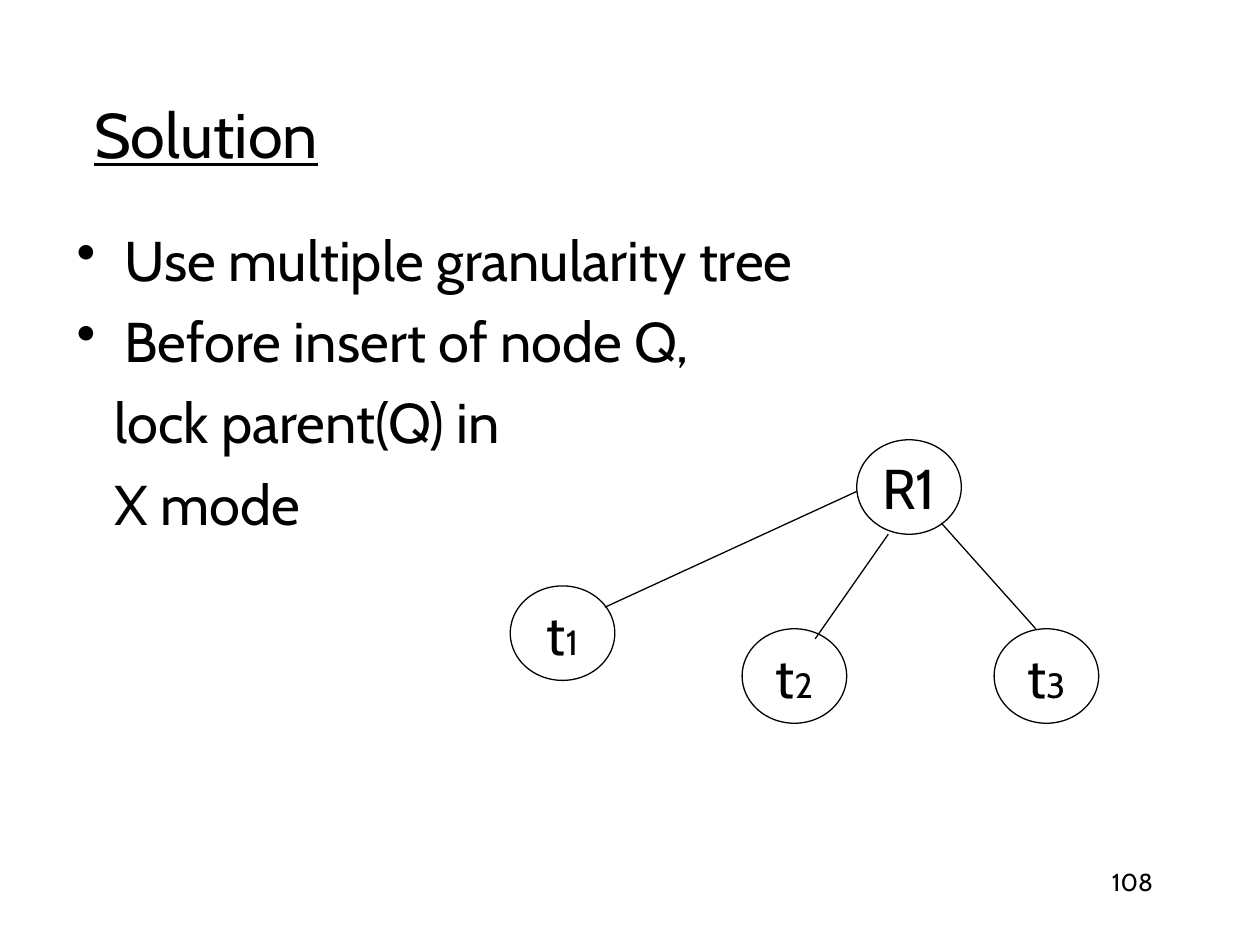
from pptx import Presentation
from pptx.dml.color import RGBColor
from pptx.enum.shapes import MSO_CONNECTOR, MSO_SHAPE
from pptx.enum.text import MSO_ANCHOR, PP_ALIGN
from pptx.oxml.ns import qn
from pptx.util import Inches, Pt
from lxml.etree import SubElement

COLORS = {"ink": "000000", "node": "FFFFFF"}
INK = RGBColor.from_string(COLORS["ink"])


def style(r, size):
    r.font.name = "Cabin"
    r.font.size = Pt(size)
    r.font.color.rgb = INK


def add_text(s, box, text, size):
    tf = s.shapes.add_textbox(*map(Inches, box)).text_frame
    tf.word_wrap = True
    tf.text = text
    for p in tf.paragraphs:
        style(p.runs[0], size)
    return tf


prs = Presentation()
prs.slide_width, prs.slide_height = Inches(10), Inches(7.5)
s = prs.slides.add_slide(prs.slide_layouts[6])

number = add_text(s, (7.17, 6.83, 2.08, 0.5), "108", 14)
number.paragraphs[0].alignment = PP_ALIGN.RIGHT

title = add_text(s, (0.65, 0.43, 8.5, 1.25), "Solution", 36)
title.vertical_anchor = MSO_ANCHOR.MIDDLE
title.paragraphs[0].runs[0].font.underline = True

lines = ["Use multiple granularity tree", "Before insert of node Q,",
         "lock parent(Q) in", "X mode"]
body = add_text(s, (0.51, 1.74, 8.5, 4.5), "\n".join(lines), 32)
for i, p in enumerate(body.paragraphs):
    pPr = p._p.get_or_add_pPr()
    if i < 2:
        pPr.set("marL", str(Inches(0.38)))
        pPr.set("indent", str(Inches(-0.38)))
        SubElement(pPr, qn("a:buChar")).set("char", "•")
    else:
        pPr.set("marL", str(Inches(0.3)))
        SubElement(pPr, qn("a:buNone"))
    if i:
        p.space_before = Pt(8)

nodes = [("R", "1", 32, 6.8, 3.49), ("t", "1", 20, 4.05, 4.65),
         ("t", "2", 20, 5.89, 4.99), ("t", "3", 20, 7.89, 4.99)]
for letter, index, index_size, x, y in nodes:
    sp = s.shapes.add_shape(MSO_SHAPE.OVAL, Inches(x), Inches(y), Inches(0.83), Inches(0.75))
    sp.shadow.inherit = False
    sp.fill.solid()
    sp.fill.fore_color.rgb = RGBColor.from_string(COLORS["node"])
    sp.line.color.rgb = INK
    sp.line.width = Pt(0.75)
    tf = sp.text_frame
    tf.word_wrap = False
    tf.vertical_anchor = MSO_ANCHOR.MIDDLE
    p = tf.paragraphs[0]
    p.alignment = PP_ALIGN.CENTER
    for text, size in ((letter, 32), (index, index_size)):
        r = p.add_run()
        r.text = text
        style(r, size)

edges = [(6.8, 3.9, 4.8, 4.82), (7.05, 4.24, 6.47, 5.07), (7.47, 4.15, 8.22, 4.99)]
for edge in edges:
    line = s.shapes.add_connector(MSO_CONNECTOR.STRAIGHT, *map(Inches, edge))
    line.line.color.rgb = INK
    line.line.width = Pt(0.75)
    SubElement(line._element.spPr, qn("a:effectLst"))

prs.save("out.pptx")
